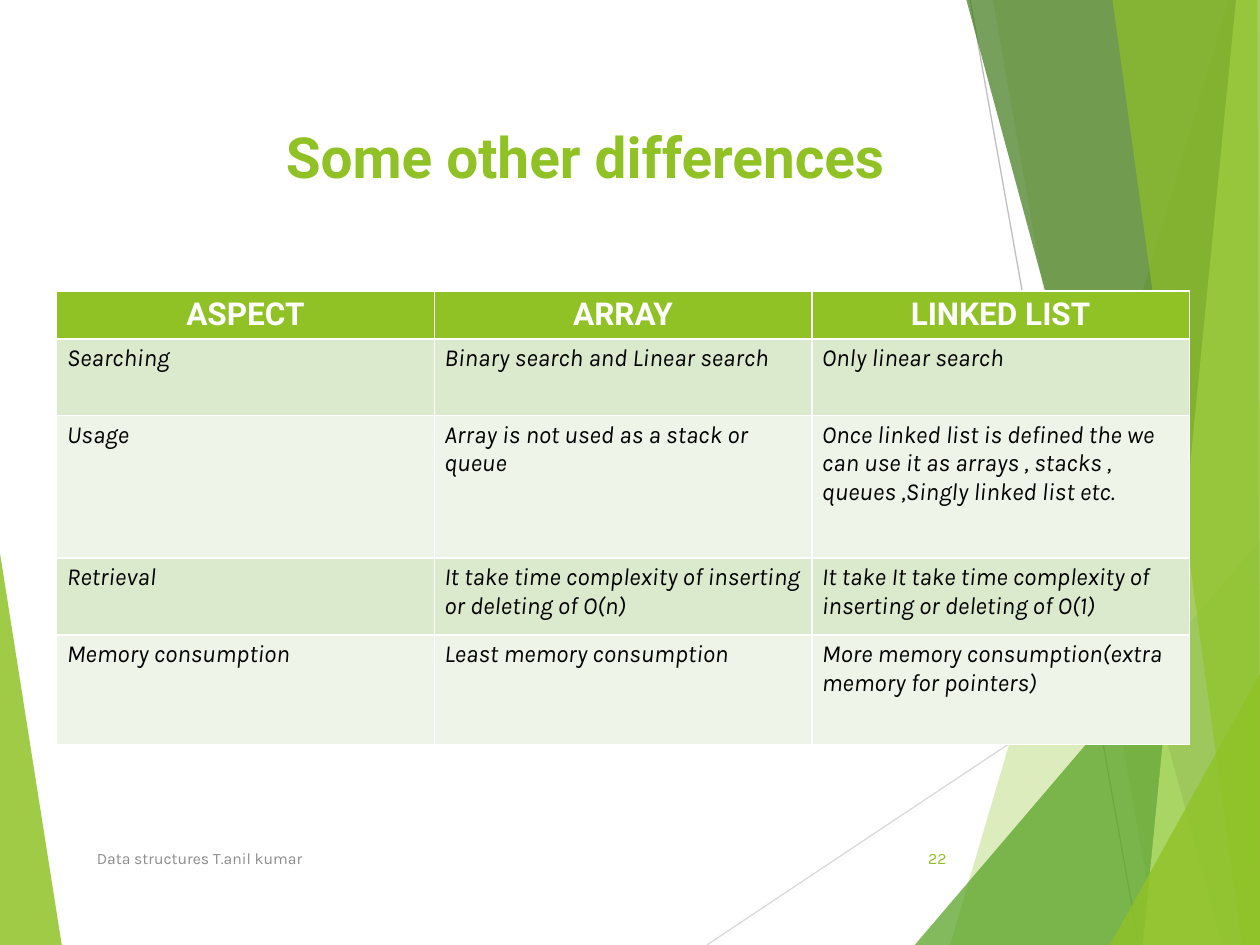
from lxml import etree
from pptx import Presentation
from pptx.dml.color import RGBColor
from pptx.enum.shapes import MSO_CONNECTOR
from pptx.enum.text import MSO_ANCHOR, PP_ALIGN
from pptx.oxml import parse_xml
from pptx.oxml.ns import nsdecls, qn
from pptx.util import Inches, Pt

COLORS = {
    "lime": "90C226", "green": "54A021", "forest": "3F7819", "pale": "C0E474",
    "band_dark": "DBE9CD", "band_light": "EEF4E8", "white": "FFFFFF",
    "black": "000000", "footer": "8C8C8C", "ray": "D9D9D9", "ray_dark": "BFBFBF",
}


def rgb(name):
    return RGBColor.from_string(COLORS[name])


def add_run(tf, text, font, size, color, bold=False, italic=False, align=PP_ALIGN.LEFT):
    p = tf.paragraphs[0]
    p.alignment = align
    r = p.add_run()
    r.text = text
    r.font.name, r.font.size = font, Pt(size)
    r.font.bold, r.font.italic = bold, italic
    r.font.color.rgb = rgb(color)


prs = Presentation()
prs.slide_width, prs.slide_height = Inches(10), Inches(7.5)
s = prs.slides.add_slide(prs.slide_layouts[6])

# Thin background rays
rays = [(5.61, 7.5, 10.01, 4.57, "ray"), (7.7, 0, 9.04, 7.5, "ray_dark")]
for x1, y1, x2, y2, color in rays:
    line = s.shapes.add_connector(MSO_CONNECTOR.STRAIGHT, Inches(x1), Inches(y1),
                                  Inches(x2), Inches(y2))
    line.line.color.rgb = rgb(color)
    line.line.width = Pt(0.75)
    etree.SubElement(line._element.spPr, qn("a:effectLst"))

# Translucent facets: colour, opacity in percent, corners
facets = [
    ("lime", 85, [(0, 4.39), (0.49, 7.5), (0, 7.5)]),
    ("lime", 30, [(9.75, 0), (7.54, 7.5), (10, 7.5), (10, 0)]),
    ("lime", 20, [(7.88, 0), (9.19, 7.5), (10, 7.5), (10, 0)]),
    ("green", 72, [(7.26, 7.5), (10, 4.29), (10, 7.5)]),
    ("forest", 70, [(7.67, 0), (9.7, 7.5), (10, 7.5), (10, 0)]),
    ("pale", 70, [(9.81, 0), (9.07, 7.5), (10, 7.5), (10, 0)]),
    ("lime", 65, [(8.83, 0), (9.86, 7.5), (10, 7.5), (9.98, 0)]),
    ("lime", 80, [(8.81, 7.5), (10, 5.35), (10, 7.5)]),
]
for color, opacity, corners in facets:
    points = [(Inches(x), Inches(y)) for x, y in corners]
    builder = s.shapes.build_freeform(*points[0])
    builder.add_line_segments(points[1:], close=True)
    sp = builder.convert_to_shape()
    sp.shadow.inherit = False
    sp.line.fill.background()
    sp.fill.solid()
    sp.fill.fore_color.rgb = rgb(color)
    clr = sp._element.spPr.find(qn("a:solidFill"))[0]
    etree.SubElement(clr, qn("a:alpha"), val=str(opacity * 1000))

# Title, slide number and footer
TOP, MIDDLE = MSO_ANCHOR.TOP, MSO_ANCHOR.MIDDLE
texts = [
    ("Some other differences", (2.17, 0.92, 5.83, 1.16), TOP,
     ("Roboto", 32.4, "lime", True)),
    ("22", (7.05, 6.61, 0.56, 0.4), MIDDLE,
     ("Karla", 9, "lime", False, False, PP_ALIGN.RIGHT)),
    ("Data structures T.anil kumar", (0.67, 6.61, 5.06, 0.4), MIDDLE,
     ("Karla", 9, "footer")),
]
for text, box, anchor, style in texts:
    tf = s.shapes.add_textbox(*[Inches(v) for v in box]).text_frame
    tf.word_wrap = True
    tf.vertical_anchor = anchor
    add_run(tf, text, *style)

# Comparison table
rows = [
    ("ASPECT", "ARRAY", "LINKED LIST"),
    ("Searching", "Binary search and Linear search", "Only linear search"),
    ("Usage", "Array is not used as a stack or queue",
     "Once linked list is defined the we can use it as arrays , stacks , "
     "queues ,Singly linked list etc."),
    ("Retrieval", "It take time complexity of inserting or deleting of O(n)",
     "It take It take time complexity of inserting or deleting of O(1)"),
    ("Memory consumption", "Least memory consumption",
     "More memory consumption(extra memory for pointers)"),
]
heights = [0.37, 0.61, 1.13, 0.61, 0.87]
table = s.shapes.add_table(len(rows), 3, Inches(0.45), Inches(2.31),
                           Inches(8.99), Inches(sum(heights))).table
for col in table.columns:
    col.width = Inches(8.99 / 3)
for i, (row, height) in enumerate(zip(rows, heights)):
    table.rows[i].height = Inches(height)
    for j, text in enumerate(row):
        cell = table.cell(i, j)
        cell.margin_left = cell.margin_right = Inches(0.08)
        cell.margin_top = cell.margin_bottom = Inches(0.04)
        if i == 0:
            fill = "lime"
            add_run(cell.text_frame, text, "Roboto", 18, "white", bold=True,
                    align=PP_ALIGN.CENTER)
        else:
            fill = "band_dark" if i % 2 else "band_light"
            add_run(cell.text_frame, text, "Karla", 14, "black", italic=True)
        # Borders come before the fill in the cell properties
        tcPr = cell._tc.get_or_add_tcPr()
        for side in ("lnL", "lnR", "lnT", "lnB"):
            tcPr.append(parse_xml(
                f'<a:{side} {nsdecls("a")} w="{Pt(1)}"><a:solidFill>'
                f'<a:srgbClr val="{COLORS["white"]}"/></a:solidFill></a:{side}>'))
        cell.fill.solid()
        cell.fill.fore_color.rgb = rgb(fill)

prs.save("out.pptx")
